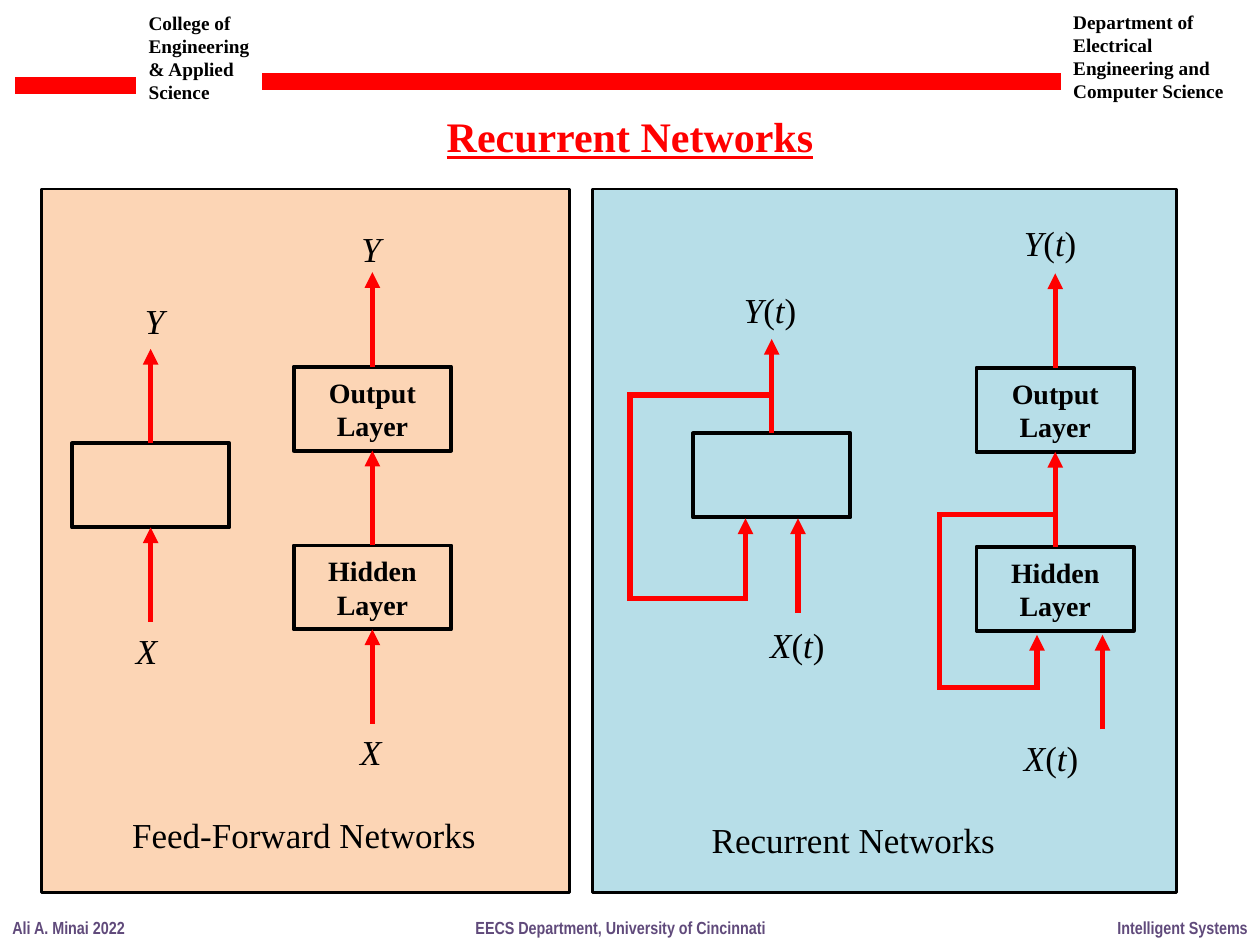
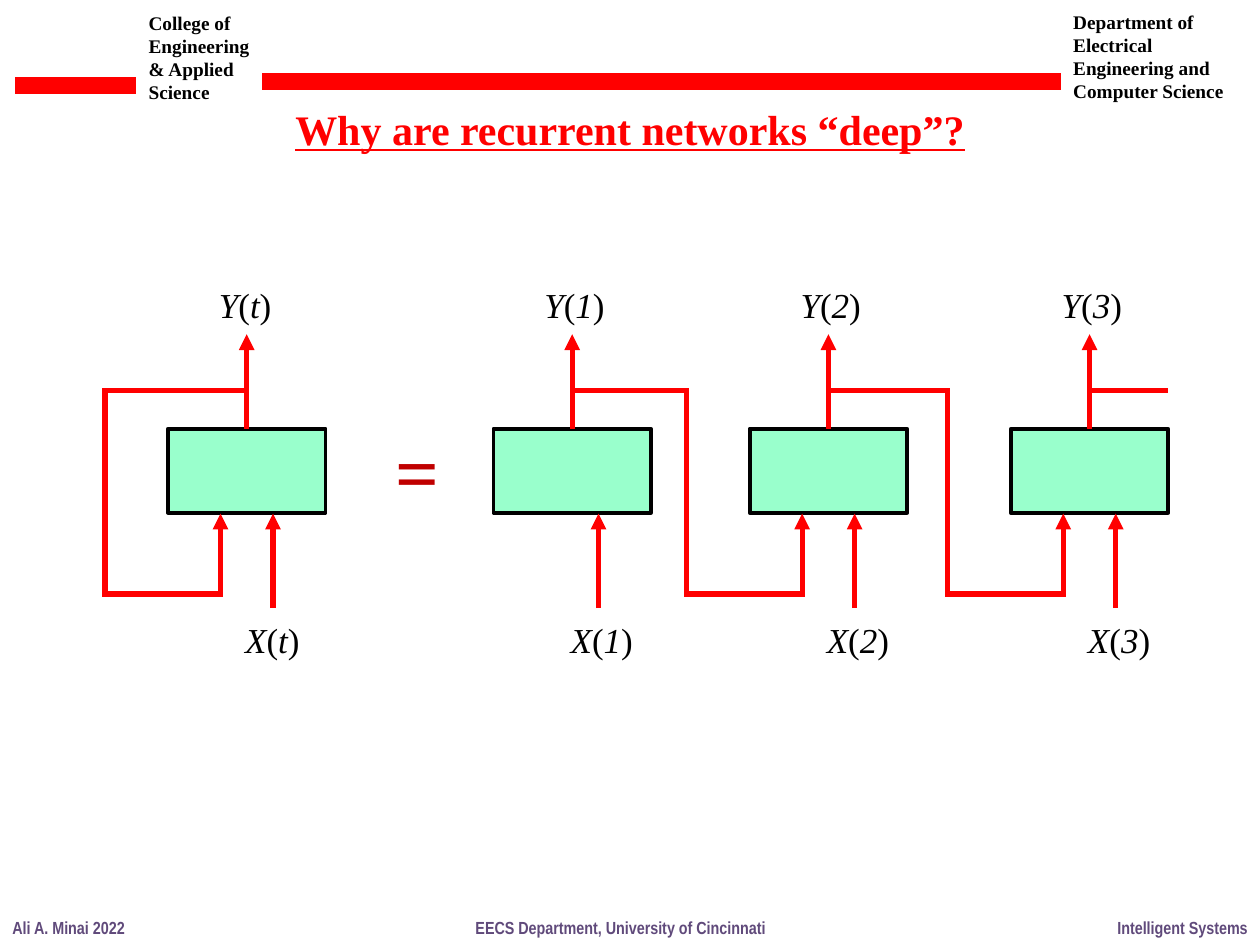
from lxml import etree
from pptx import Presentation
from pptx.dml.color import RGBColor
from pptx.enum.shapes import MSO_CONNECTOR as Connector, MSO_SHAPE as Shape
from pptx.enum.text import MSO_ANCHOR as Anchor, PP_ALIGN as Align
from pptx.oxml.ns import qn
from pptx.util import Pt

RED = RGBColor(0xFF, 0x00, 0x00)
DARK_RED = RGBColor(0xC0, 0x00, 0x00)
BLACK = RGBColor(0x00, 0x00, 0x00)
PURPLE = RGBColor(0x60, 0x4A, 0x7B)
PEACH = RGBColor(0xFC, 0xD5, 0xB5)
BLUE = RGBColor(0xB7, 0xDE, 0xE8)
MINT = RGBColor(0x99, 0xFF, 0xCC)

SERIF = "Times New Roman"
NARROW = "Arial Narrow"

SLIDE_WIDTH, SLIDE_HEIGHT = 720, 540
UNIT_WIDTH, UNIT_HEIGHT = 90, 48
MIDDLE = UNIT_WIDTH / 2
ARROW = 54
LAYER_PITCH = 102.2

# Recurrent cell, measured from the corner of its rectangle
INPUT_X = 60
FEEDBACK_X = 30
BRANCH_Y = -22
LOOP_X = -36
LOOP_BOTTOM = 94.5


# Basic parts
def style_run(span, size, color=BLACK, font=SERIF, bold=False):
    span.font.size = Pt(size)
    span.font.name = font
    span.font.bold = bold
    span.font.color.rgb = color


def add_text(page, left, top, width, height, text, size, align=Align.LEFT, **style):
    box = page.shapes.add_textbox(Pt(left), Pt(top), Pt(width), Pt(height))
    box.text_frame.word_wrap = True
    box.text_frame.text = text
    for para in box.text_frame.paragraphs:
        para.alignment = align
        for span in para.runs:
            style_run(span, size, **style)
    return box


def add_label(page, left, top, variable, time=None):
    box = add_text(page, left, top, 58, 32, variable, 20)
    para = box.text_frame.paragraphs[0]
    for piece in ("(", time, ")") if time else ():
        span = para.add_run()
        span.text = piece
        style_run(span, 20)
    for span in para.runs:
        span.font.italic = span.text not in "()"


def add_box(page, left, top, width, height, fill=None, weight=2.25):
    box = page.shapes.add_shape(Shape.RECTANGLE, Pt(left), Pt(top), Pt(width), Pt(height))
    box.shadow.inherit = False
    if fill is None:
        box.fill.background()
    else:
        box.fill.solid()
        box.fill.fore_color.rgb = fill
    box.line.color.rgb = BLACK
    box.line.width = Pt(weight)
    return box


def add_unit(page, left, top, fill=None, text=None):
    box = add_box(page, left, top, UNIT_WIDTH, UNIT_HEIGHT, fill)
    if text:
        frame = box.text_frame
        frame.margin_top = frame.margin_bottom = 0
        frame.vertical_anchor = Anchor.MIDDLE
        frame.text = text
        for para in frame.paragraphs:
            para.alignment = Align.CENTER
            style_run(para.runs[0], 16, bold=True)
    return box


def add_line(page, start, end, weight=3, arrow=False):
    line = page.shapes.add_connector(
        Connector.STRAIGHT, *(Pt(value) for value in (*start, *end)))
    line.line.color.rgb = RED
    line.line.width = Pt(weight)
    if arrow:
        etree.SubElement(line.line._get_or_add_ln(), qn("a:tailEnd"), type="triangle")
    etree.SubElement(line._element.spPr, qn("a:effectLst"))
    return line


def add_route(page, *points):
    """Draw joined lines through the points, with an arrowhead at the end."""
    for start, end in zip(points, points[1:]):
        is_last = end == points[-1]
        line = add_line(page, start, end, arrow=is_last)
        if not is_last:
            line.line._get_or_add_ln().set("cap", "sq")


def add_arrow_out(page, unit, left, top):
    x = left + MIDDLE
    arrow = add_line(page, (x, top), (x, top - ARROW), arrow=True)
    arrow.begin_connect(unit, 0)
    return arrow


def add_arrow_in(page, unit, left, top):
    x, bottom = left + MIDDLE, top + UNIT_HEIGHT
    arrow = add_line(page, (x, bottom + ARROW), (x, bottom), arrow=True)
    arrow.end_connect(unit, 2)


# Networks
def add_simple_cell(page, left, top):
    unit = add_unit(page, left, top)
    add_arrow_in(page, unit, left, top)
    add_arrow_out(page, unit, left, top)
    add_label(page, left + 29.5, top + 103, "X")
    add_label(page, left + 34.6, top - 85.7, "Y")


def add_timed_cell(page, left, top, time, fill=None):
    unit = add_unit(page, left, top, fill)
    bottom = top + UNIT_HEIGHT + 0.5
    add_line(page, (left + INPUT_X, bottom + ARROW), (left + INPUT_X, bottom), arrow=True)
    add_arrow_out(page, unit, left, top)
    add_label(page, left + 37, top + 105, "X", time)
    add_label(page, left + 22, top - 86.5, "Y", time)


def add_feedback(page, source_left, target_left, top):
    """Lead the output of one cell into the input of another, or of the same."""
    loop_x, input_x = target_left + LOOP_X, target_left + FEEDBACK_X
    add_route(page,
              (source_left + MIDDLE, top + BRANCH_Y),
              (loop_x, top + BRANCH_Y),
              (loop_x, top + LOOP_BOTTOM),
              (input_x, top + LOOP_BOTTOM),
              (input_x, top + UNIT_HEIGHT + 0.5))


def add_layers(page, left, top):
    hidden_top = top + LAYER_PITCH
    output = add_unit(page, left, top, text="Output\nLayer")
    hidden = add_unit(page, left, hidden_top, text="Hidden\nLayer")
    add_arrow_out(page, output, left, top)
    add_arrow_out(page, hidden, left, hidden_top).end_connect(output, 2)
    return hidden, hidden_top


def add_feed_forward_layers(page, left, top):
    hidden, hidden_top = add_layers(page, left, top)
    add_arrow_in(page, hidden, left, hidden_top)
    add_label(page, left + 31, hidden_top + 102.2, "X")
    add_label(page, left + 31.7, top - 82.8, "Y")


def add_recurrent_layers(page, left, top):
    _, hidden_top = add_layers(page, left, top)
    entry, branch, loop_bottom = hidden_top + 50.4, hidden_top - 18.5, hidden_top + 80.6
    add_line(page, (left + 72, entry + ARROW), (left + 72, entry), arrow=True)
    add_route(page,
              (left + MIDDLE, branch), (left - 21, branch),
              (left - 21, loop_bottom), (left + 34.6, loop_bottom),
              (left + 34.6, entry))
    add_label(page, left + 20, hidden_top + 105, "X", "t")
    add_label(page, left + 20, top - 87, "Y", "t")


# Panels of the first slide
def add_feed_forward_panel(page, left, top, width, height):
    add_box(page, left, top, width, height, PEACH, 1.5)
    add_simple_cell(page, left + 17.3, top + 145.4)
    add_feed_forward_layers(page, left + 144, top + 101.5)
    add_text(page, left + 44.6, top + 353.5, 225, 32, "Feed-Forward Networks", 20)


def add_recurrent_panel(page, left, top, width, height):
    add_box(page, left, top, width, height, BLUE, 1.5)
    cell_left, cell_top = left + 57.6, top + 139.7
    add_timed_cell(page, cell_left, cell_top, "t")
    add_feedback(page, cell_left, cell_left, cell_top)
    add_recurrent_layers(page, left + 219.6, top + 102.2)
    add_text(page, left + 61.2, top + 356.4, 190, 32, "Recurrent Networks", 20)


# Header, footer and title on every slide
def add_page(deck, title, title_top):
    page = deck.slides.add_slide(deck.slide_layouts[6])
    add_text(page, 77.8, 2.9, 78.5, 60.5,
             "College of Engineering & Applied\nScience", 11, bold=True)
    add_text(page, 606.2, 2.2, 105.8, 60.5,
             "Department of Electrical Engineering and Computer Science", 11, bold=True)
    add_line(page, (8.6, 49), (77.8, 49), 10)
    add_line(page, (149.8, 46.5), (606.2, 46.5), 10)
    footers = (
        (0, 130, "Ali A. Minai 2022", Align.LEFT),
        (234.5, 240, "EECS Department, University of Cincinnati", Align.CENTER),
        (SLIDE_WIDTH - 130, 130, "Intelligent Systems", Align.RIGHT),
    )
    for left, width, text, align in footers:
        add_text(page, left, 520.6, width, 19.4, text, 10, align,
                 color=PURPLE, font=NARROW, bold=True)
    heading = add_text(page, 60, title_top, 600, 36, title, 24, Align.CENTER,
                       color=RED, bold=True)
    heading.text_frame.paragraphs[0].runs[0].font.underline = True
    return page


def add_comparison_slide(deck):
    page = add_page(deck, "Recurrent Networks", 59.8)
    add_feed_forward_panel(page, 23.8, 108, 301.7, 402)
    add_recurrent_panel(page, 338.4, 108, 334, 402)


def add_unrolling_slide(deck):
    page = add_page(deck, "Why are recurrent networks “deep”?", 55.4)
    top, loop_left = 245, 96
    step_lefts = (282, 428.4, 577.6)

    # Folded network
    add_timed_cell(page, loop_left, top, "t", MINT)
    add_feedback(page, loop_left, loop_left, top)
    add_text(page, 218.9, 238.3, 45, 60.5, "=", 44, color=DARK_RED, bold=True)

    # Network unrolled in time
    for step, left in enumerate(step_lefts, start=1):
        add_timed_cell(page, left, top, str(step), MINT)
    for source_left, target_left in zip(step_lefts, step_lefts[1:]):
        add_feedback(page, source_left, target_left, top)
    last_left, branch = step_lefts[-1], top + BRANCH_Y
    add_line(page, (last_left + MIDDLE, branch), (last_left + UNIT_WIDTH, branch))


def main():
    deck = Presentation()
    deck.slide_width, deck.slide_height = Pt(SLIDE_WIDTH), Pt(SLIDE_HEIGHT)
    add_comparison_slide(deck)
    add_unrolling_slide(deck)
    deck.save("out.pptx")


if __name__ == "__main__":
    main()
